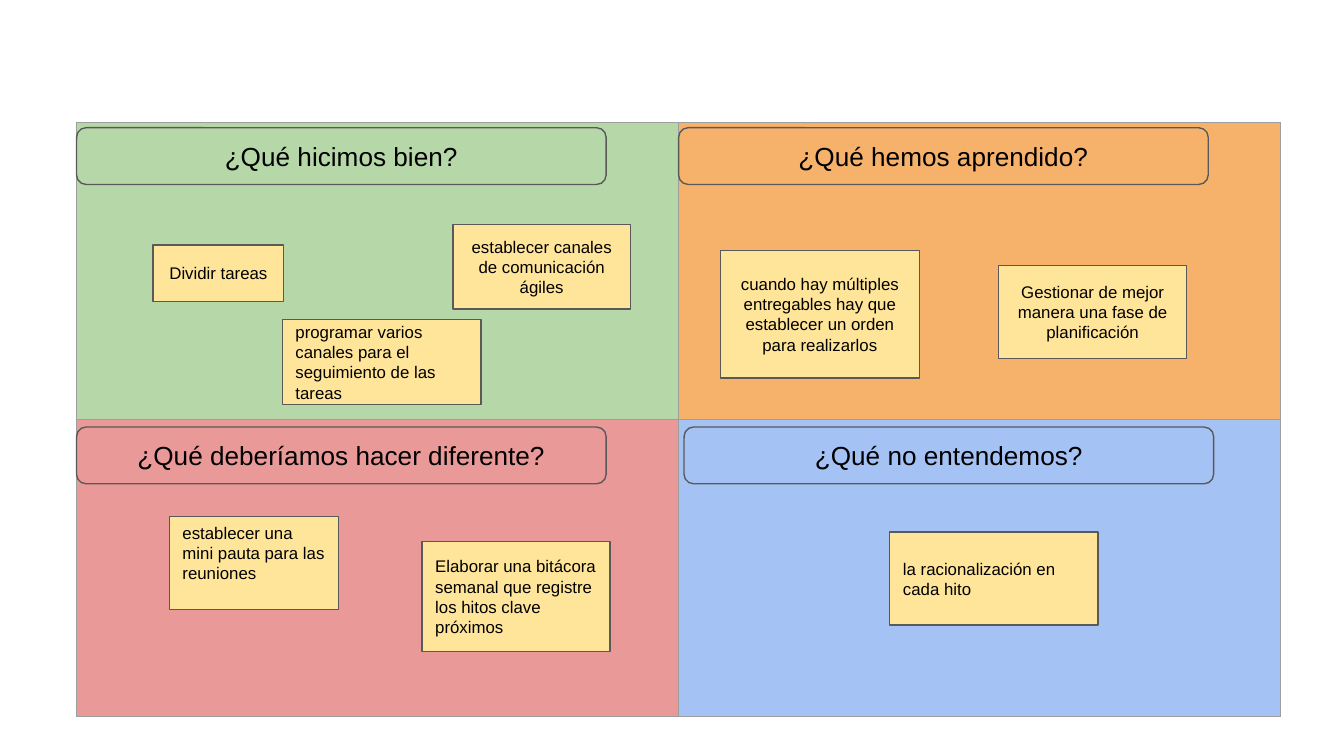
from lxml.etree import SubElement
from pptx import Presentation
from pptx.dml.color import RGBColor
from pptx.enum.shapes import MSO_SHAPE
from pptx.enum.text import MSO_ANCHOR, PP_ALIGN
from pptx.oxml.ns import qn
from pptx.util import Inches, Pt

WIDE = Inches(10)
HIGH = WIDE * 9 // 16
LEFT, TOP, COL, ROW = 5.7, 16.2, 44.8, 39.3

BLACK = RGBColor(0, 0, 0)
GRAY = RGBColor(0x59, 0x59, 0x59)
RULE = RGBColor(0x9E, 0x9E, 0x9E)
SAND = RGBColor(0xFF, 0xE5, 0x99)
GREEN = RGBColor(0xB6, 0xD7, 0xA8)
ORANGE = RGBColor(0xF6, 0xB2, 0x6B)
RED = RGBColor(0xEA, 0x99, 0x99)
BLUE = RGBColor(0xA4, 0xC2, 0xF4)

FILLS = [[GREEN, ORANGE], [RED, BLUE]]
MID, START = PP_ALIGN.CENTER, PP_ALIGN.LEFT

HEADS = [
    (0, 0, 0, 0.7, "¿Qué hicimos bien?"),
    (0, 1, 0, 1, "¿Qué deberíamos hacer diferente?"),
    (1, 0, 0, 0.7, "¿Qué hemos aprendido?"),
    (1, 1, 0.4, 1, "¿Qué no entendemos?"),
]
NOTES = [
    (11.4, 32.4, 9.7, 7.5, MID, "Dividir tareas"),
    (33.7, 29.7, 13.2, 11.2, MID, "establecer canales de comunicación ágiles"),
    (21, 42.3, 14.8, 11.2, START,
     "programar varios canales para el seguimiento de las tareas"),
    (74.3, 35.1, 14, 12.3, MID,
     "Gestionar de mejor manera una fase de planificación"),
    (53.6, 33.1, 14.8, 16.9, MID,
     "cuando hay múltiples entregables hay que establecer un orden para realizarlos"),
    (12.6, 68.3, 12.6, 12.3, START, "establecer una mini pauta para las reuniones"),
    (31.4, 71.6, 14, 14.6, START,
     "Elaborar una bitácora semanal que registre los hitos clave próximos"),
    (66.2, 70.4, 15.5, 12.3, START, "la racionalización en cada hito"),
]


def place(x, y, w, h):
    """Turn percentages of the slide into lengths."""
    return [int(part * side / 100)
            for part, side in zip((x, y, w, h), (WIDE, HIGH) * 2)]


def edge(cell):
    """Draw thin gray borders around a cell."""
    props = cell._tc.get_or_add_tcPr()
    for side in ("lnL", "lnR", "lnT", "lnB"):
        line = SubElement(props, qn("a:" + side), w=str(Pt(0.75)))
        fill = SubElement(line, qn("a:solidFill"))
        SubElement(fill, qn("a:srgbClr"), val=str(RULE))


def add_board(slide):
    """Add the table of four coloured quadrants."""
    table = slide.shapes.add_table(2, 2, *place(LEFT, TOP, 2 * COL, 2 * ROW)).table
    for r, fills in enumerate(FILLS):
        for c, color in enumerate(fills):
            cell = table.cell(r, c)
            edge(cell)
            cell.fill.solid()
            cell.fill.fore_color.rgb = color


def add_box(slide, kind, box, text, size, align=MID):
    """Add an outlined shape with text and return it."""
    shape = slide.shapes.add_shape(kind, *place(*box))
    shape.shadow.inherit = False
    shape.fill.background()
    shape.line.color.rgb = GRAY
    shape.line.width = Pt(0.75)
    frame = shape.text_frame
    frame.word_wrap = True
    frame.vertical_anchor = MSO_ANCHOR.MIDDLE
    frame.margin_left = frame.margin_right = Inches(0.1)
    frame.margin_top = frame.margin_bottom = Inches(0.1)
    frame.text = text
    para = frame.paragraphs[0]
    para.alignment = align
    para.font.name = "Arial"
    para.font.size = Pt(size)
    para.font.color.rgb = BLACK
    return shape


def add_head(slide, col, row, dx, dy, text):
    """Add the rounded heading of a quadrant."""
    box = LEFT + col * COL + dx, TOP + row * ROW + dy, 39.4, 7.5
    add_box(slide, MSO_SHAPE.ROUNDED_RECTANGLE, box, text, 14)


def add_note(slide, x, y, w, h, align, text):
    """Add a sticky note and return it."""
    note = add_box(slide, MSO_SHAPE.RECTANGLE, (x, y, w, h), text, 9, align)
    note.fill.solid()
    note.fill.fore_color.rgb = SAND
    return note


def main():
    """Build the retrospective board."""
    deck = Presentation()
    deck.slide_width, deck.slide_height = WIDE, HIGH
    slide = deck.slides.add_slide(deck.slide_layouts[6])
    add_board(slide)
    for head in HEADS:
        add_head(slide, *head)
    notes = [add_note(slide, *note) for note in NOTES]
    notes[5].text_frame.margin_bottom = Inches(0.25)
    deck.save("out.pptx")


if __name__ == "__main__":
    main()
